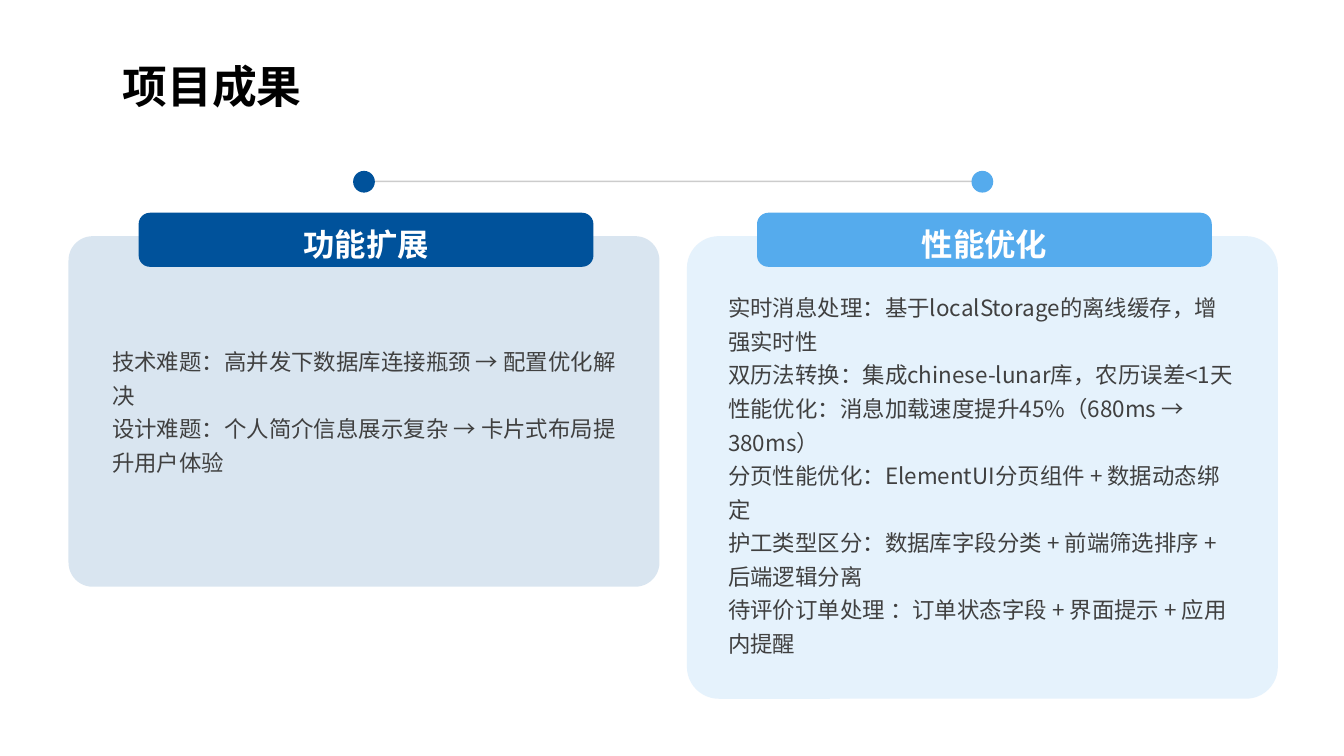
"""Build the project results slide with two topic cards."""
from lxml import etree
from pptx import Presentation
from pptx.dml.color import RGBColor
from pptx.enum.shapes import MSO_CONNECTOR, MSO_SHAPE
from pptx.enum.text import MSO_ANCHOR, MSO_AUTO_SIZE, PP_ALIGN
from pptx.oxml.ns import qn
from pptx.util import Inches, Pt

ROUND, OVAL = MSO_SHAPE.ROUNDED_RECTANGLE, MSO_SHAPE.OVAL
LINE = MSO_CONNECTOR.STRAIGHT
TOP, MIDDLE = MSO_ANCHOR.TOP, MSO_ANCHOR.MIDDLE
LEFT, CENTER = PP_ALIGN.LEFT, PP_ALIGN.CENTER
FIXED = MSO_AUTO_SIZE.NONE
FONT = "Noto Sans CJK SC"


def fade(shape, part):
    for node in shape.element.spPr.iter(qn("a:srgbClr")):
        etree.SubElement(node, qn("a:alpha"), val=str(part * 1000))


def write(shape, lines, size, tint, bold, align, anchor):
    frame = shape.text_frame
    frame.word_wrap = True
    frame.auto_size = FIXED
    frame.vertical_anchor = anchor
    frame.margin_left = frame.margin_right = 0
    frame.margin_top = frame.margin_bottom = 0
    for i, line in enumerate(lines):
        para = frame.add_paragraph() if i else frame.paragraphs[0]
        props = para._p.get_or_add_pPr()
        props.set("marL", "0")
        props.set("indent", "0")
        etree.SubElement(props, qn("a:buNone"))
        para.alignment = align
        para.line_spacing = 1.25
        para.space_before = Pt(0)
        run = para.add_run()
        run.text = line
        run.font.size = Pt(size)
        run.font.bold = bold
        run.font.name = FONT
        run.font.color.rgb = RGBColor.from_string(tint)
        etree.SubElement(run.font._element, qn("a:ea"), typeface=FONT)


deck = Presentation()
deck.slide_width, deck.slide_height = Inches(16.67), Inches(9.38)
slide = deck.slides.add_slide(deck.slide_layouts[3])
shapes = slide.shapes
title, *bodies = slide.placeholders

title.left, title.top = Inches(1.52), Inches(0.52)
title.width, title.height = Inches(14.27), Inches(0.92)
write(title, ["项目成果"], 40, "000000", True, LEFT, MIDDLE)

link = shapes.add_connector(
    LINE, Inches(4.52), Inches(2.25), Inches(12.19), Inches(2.25))
link.line.width = Pt(1.5)
link.line.color.rgb = RGBColor.from_string("808080")
fade(link, 40)
etree.SubElement(link.element.spPr, qn("a:effectLst"))

topics = [
    ("功能扩展", "00529B", 0.85, 4.35, 1.39, 4.24, [
        "技术难题：高并发下数据库连接瓶颈 → 配置优化解决",
        "设计难题：个人简介信息展示复杂 → 卡片式布局提升用户体验",
    ]),
    ("性能优化", "55ABED", 8.52, 5.74, 9.03, 3.57, [
        "实时消息处理：基于localStorage的离线缓存，增强实时性",
        "双历法转换：集成chinese-lunar库，农历误差<1天",
        "性能优化：消息加载速度提升45%（680ms → 380ms）",
        "分页性能优化：ElementUI分页组件 + 数据动态绑定",
        "护工类型区分：数据库字段分类 + 前端筛选排序 + 后端逻辑分离",
        "待评价订单处理 ：订单状态字段 + 界面提示 + 应用内提醒",
    ]),
]

for body, topic in zip(bodies, topics):
    head, tint, left, tall, text_x, text_y, lines = topic
    parts = [
        (ROUND, left, 2.93, 7.33, tall, 0.069),
        (ROUND, left + 0.88, 2.65, 5.62, 0.65, 0.2),
        (OVAL, left + 3.53, 2.12, 0.27, 0.27, None),
    ]
    drawn = []
    for kind, x, y, wide, high, curve in parts:
        shape = shapes.add_shape(
            kind, Inches(x), Inches(y), Inches(wide), Inches(high))
        shape.shadow.inherit = False
        shape.fill.solid()
        shape.fill.fore_color.rgb = RGBColor.from_string(tint)
        shape.line.fill.background()
        if curve:
            shape.adjustments[0] = curve
        drawn.append(shape)
    card, tab, dot = drawn
    fade(card, 15)
    tab.line.width = Pt(1.5)
    tab.line.color.rgb = RGBColor.from_string(tint)
    write(tab, [head], 28, "FFFFFF", True, CENTER, MIDDLE)

    body.left, body.top = Inches(text_x), Inches(text_y)
    body.width, body.height = Inches(6.31), Inches(2.55)
    write(body, lines, 20, "404040", False, LEFT, TOP)
    shapes.element.append(body.element)

deck.save("out.pptx")
